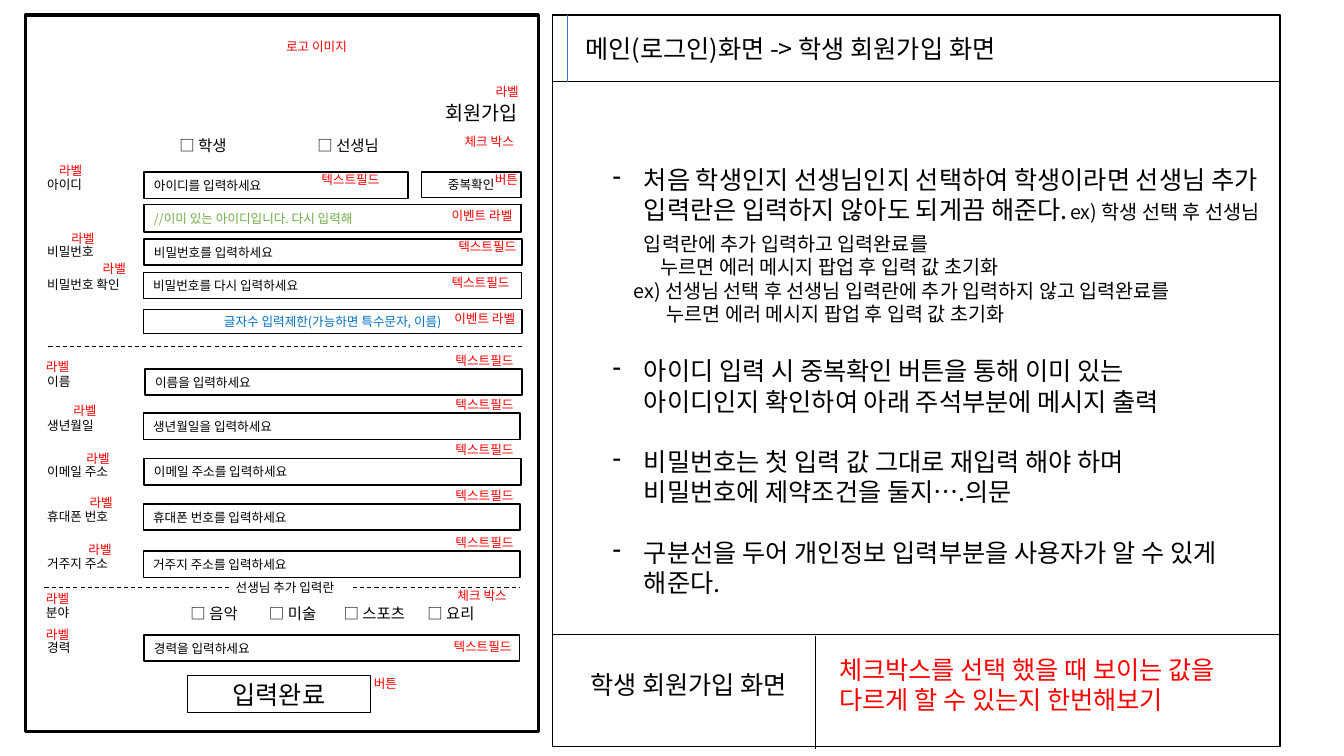
from lxml import etree
from pptx import Presentation
from pptx import util as u
from pptx.dml.color import RGBColor
from pptx.enum import dml, shapes, text
from pptx.oxml.ns import qn

FONT = "Noto Sans CJK KR"
COLORS = {"ink": "000000", "note": "FF0000", "paper": "FFFFFF",
          "warning": "70AD47", "limit": "0070C0", "accent": "4472C4"}
CENTER = text.PP_ALIGN.CENTER
LEFT = text.PP_ALIGN.LEFT

# All lengths are in centimetres.
SPEC_PANEL = (13.92, 0.38, 18.34, 18.44)
FORM_FRAME = (0.64, 0.38, 12.93, 18.06)
LABEL_X, FIELD_H = 0.94, 0.66
BULLET = 2.06
EXAMPLE_STOPS = (12.8, 14.86)

# Indent, bulleted, runs of (text, size); "\n" breaks a line, "\t" goes to a stop
RULES = [
    (BULLET, True, [("처음 학생인지 선생님인지 선택하여 학생이라면 선생님 추가 "
                     "입력란은 입력하지 않아도 되게끔 해준다.\t", 18),
                    ("ex) 학생 선택 후 선생님 입력란에 추가 입력하고 입력완료를", 14)]),
    (2.48, False, [("누르면 에러 메시지 팝업 후 입력 값 초기화", 14)]),
    (1.8, False, [("ex) 선생님 선택 후 선생님 입력란에 추가 입력하지 않고 입력완료를", 14)]),
    (2.63, False, [("누르면 에러 메시지 팝업 후 입력 값 초기화", 14)]),
    (BULLET, True, [("아이디 입력 시 중복확인 버튼을 통해 이미 있는\n"
                     "아이디인지 확인하여 아래 주석부분에 메시지 출력", 18)]),
    (BULLET, True, [("비밀번호는 첫 입력 값 그대로 재입력 해야 하며\n"
                     "비밀번호에 제약조건을 둘지….의문", 18)]),
    (BULLET, True, [("구분선을 두어 개인정보 입력부분을 사용자가 알 수 있게 해준다.", 18)]),
]

# Label, hint, field (left, top, width), label tag, text field tag
FIELDS = [
    ("아이디", "아이디를 입력하세요", (3.63, 4.34, 6.65), (1.24, 3.99), (7.85, 4.22)),
    ("비밀번호", "비밀번호를 입력하세요", (3.63, 6.02, 9.53), (1.55, 5.69), (11.3, 5.89)),
    ("비밀번호 확인", "비밀번호를 다시 입력하세요", (3.61, 6.86, 9.53), (2.34, 6.45), (11.13, 6.81)),
    ("이름", "이름을 입력하세요", (3.66, 9.3, 9.5), (0.91, 8.92), (11.23, 8.76)),
    ("생년월일", "생년월일을 입력하세요", (3.61, 10.41, 9.5), (1.6, 10.03), (11.23, 9.88)),
    ("이메일 주소", "이메일 주소를 입력하세요", (3.63, 11.56, 9.5), (1.93, 11.23), (11.23, 11.02)),
    ("휴대폰 번호", "휴대폰 번호를 입력하세요", (3.61, 12.7, 9.5), (2.01, 12.34), (11.23, 12.17)),
    ("거주지 주소", "거주지 주소를 입력하세요", (3.61, 13.89, 9.5), (1.98, 13.54), (11.23, 13.36)),
    ("경력", "경력을 입력하세요", (3.63, 16.0, 9.47), (0.91, 15.67), (11.18, 15.98)),
]

# Wording, box, size, colour, alignment
MESSAGES_AND_BUTTONS = [
    ("//이미 있는 아이디입니다. 다시 입력해", (3.63, 5.16, 9.5, 0.69), 9, "warning", LEFT),
    ("글자수 입력제한(가능하면 특수문자, 이름)", (3.61, 7.8, 9.55, 0.61), 9, "limit", CENTER),
    ("중복확인", (10.62, 4.34, 2.51, 0.64), 9, "ink", CENTER),
    ("입력완료", (4.72, 17.02, 4.62, 0.94), 18, "ink", CENTER),
]

TAGS = [
    ("로고 이미지", 6.96, 0.86), ("라벨", 12.24, 1.98), ("체크 박스", 11.46, 3.25),
    ("버튼", 12.22, 4.22), ("이벤트 라벨", 11.13, 5.11), ("이벤트 라벨", 11.2, 7.7),
    ("라벨", 0.91, 14.76), ("체크 박스", 11.28, 14.68), ("버튼", 9.17, 16.92),
]

CHECKBOXES = [
    (3.3, [("학생", 4.27), ("선생님", 7.75)]),
    (15.11, [("음악", 4.55), ("미술", 6.53), ("스포츠", 8.41), ("요리", 10.52)]),
]

# Wording, left, top, width, height, size, colour
CAPTIONS = [
    ("메인(로그인)화면 -> 학생 회원가입 화면", 14.5, 0.71, 16.46, 1.02, 18, "ink"),
    ("학생 회원가입 화면", 14.63, 16.74, 5.8, 1.02, 18, "ink"),
    ("체크박스를 선택 했을 때 보이는 값을 다르게 할 수 있는지 한번해보기",
     20.9, 16.36, 11.1, 1.8, 18, "note"),
    ("회원가입", 10.97, 2.41, 2.95, 0.86, 14, "ink"),
    ("선생님 추가 입력란", 5.69, 14.5, 3.51, 0.64, 9, "ink"),
    ("분야", 0.91, 15.11, 3.02, 0.64, 9, "ink"),
]

# From x, y to x, y, width, colour
PANEL_RULES = [
    (13.92, 2.06, 32.26, 2.06, 0.5, "ink"), (14.3, 0.38, 14.3, 2.06, 0.5, "accent"),
    (13.92, 15.98, 32.26, 15.98, 0.5, "ink"), (20.55, 16.03, 20.55, 18.87, 0.5, "ink"),
]
DIVIDERS = [
    (1.22, 8.74, 13.18, 8.74, 0.75, "ink"),
    (1.12, 14.81, 5.82, 14.81, 0.75, "ink"), (8.89, 14.81, 13.11, 14.81, 0.75, "ink"),
]


def rgb(name):
    return RGBColor.from_string(COLORS[name])


def cm(values):
    return [u.Cm(v) for v in values]


def add_run(paragraph, wording, size, color="ink"):
    run = paragraph.add_run()
    run.text = wording
    run.font.size = u.Pt(size)
    run.font.color.rgb = rgb(color)
    run.font.name = FONT
    etree.SubElement(run.font._element, qn("a:ea")).set("typeface", FONT)


def write(frame, wording, size, color, align=LEFT):
    frame.word_wrap = True
    paragraph = frame.paragraphs[0]
    paragraph.alignment = align
    paragraph.line_spacing = u.Pt(size * 1.2)
    add_run(paragraph, wording, size, color)


def add_label(slide, wording, left, top, width=3.2, height=0.64, size=9, color="ink"):
    box = slide.shapes.add_textbox(*cm((left, top, width, height)))
    write(box.text_frame, wording, size, color)


def add_box(slide, place, weight=1, filled=True):
    box = slide.shapes.add_shape(shapes.MSO_SHAPE.RECTANGLE, *cm(place))
    box.shadow.inherit = False
    if filled:
        box.fill.solid()
        box.fill.fore_color.rgb = rgb("paper")
    else:
        box.fill.background()
    box.line.color.rgb = rgb("ink")
    box.line.width = u.Pt(weight)
    box.text_frame.vertical_anchor = text.MSO_ANCHOR.MIDDLE
    return box


def add_line(slide, ends, weight, color, dashed=False):
    line = slide.shapes.add_connector(shapes.MSO_CONNECTOR.STRAIGHT, *cm(ends))
    line.line.color.rgb = rgb(color)
    line.line.width = u.Pt(weight)
    if dashed:
        line.line.dash_style = dml.MSO_LINE.DASH
    etree.SubElement(line._element.spPr, qn("a:effectLst"))


def write_rules(frame):
    """Fill the panel with bulleted rules and their indented examples."""
    frame.word_wrap = True
    for index, (indent, bulleted, runs) in enumerate(RULES):
        paragraph = frame.add_paragraph() if index else frame.paragraphs[0]
        props = paragraph._p.get_or_add_pPr()
        props.set("marL", str(u.Cm(indent)))
        props.set("indent", str(u.Cm(-0.79 if bulleted else 0)))
        if bulleted:
            etree.SubElement(props, qn("a:buChar")).set("char", "-")
        if any("\t" in wording for wording, _ in runs):
            stops = etree.SubElement(props, qn("a:tabLst"))
            for stop in EXAMPLE_STOPS:
                etree.SubElement(stops, qn("a:tab"), pos=str(u.Cm(stop)), algn="l")
        paragraph.alignment = LEFT
        paragraph.line_spacing = u.Pt(runs[0][1] * 1.2)
        if bulleted and index:
            paragraph.space_before = u.Pt(21.6)
        for wording, size in runs:
            for number, part in enumerate(wording.split("\n")):
                if number:
                    paragraph.add_line_break()
                add_run(paragraph, part, size)


def main():
    deck = Presentation()
    deck.slide_width, deck.slide_height = cm((33.87, 19.05))
    slide = deck.slides.add_slide(deck.slide_layouts[6])

    write_rules(add_box(slide, SPEC_PANEL).text_frame)
    for *ends, weight, color in PANEL_RULES:
        add_line(slide, ends, weight, color)
    add_box(slide, FORM_FRAME, 2.25, filled=False)
    for *ends, weight, color in DIVIDERS:
        add_line(slide, ends, weight, color, dashed=True)

    for label, hint, field, label_tag, field_tag in FIELDS:
        write(add_box(slide, (*field, FIELD_H)).text_frame, hint, 9, "ink")
        add_label(slide, label, LABEL_X, field[1])
        add_label(slide, "라벨", *label_tag, color="note")
        add_label(slide, "텍스트필드", *field_tag, color="note")
    for wording, place, size, color, align in MESSAGES_AND_BUTTONS:
        write(add_box(slide, place).text_frame, wording, size, color, align)
    for tag in TAGS:
        add_label(slide, *tag, color="note")
    for caption in CAPTIONS:
        add_label(slide, *caption)
    for top, choices in CHECKBOXES:
        for choice, left in choices:
            add_label(slide, f"□ {choice}", left, top, height=0.74, size=11)

    deck.save("out.pptx")


if __name__ == "__main__":
    main()
